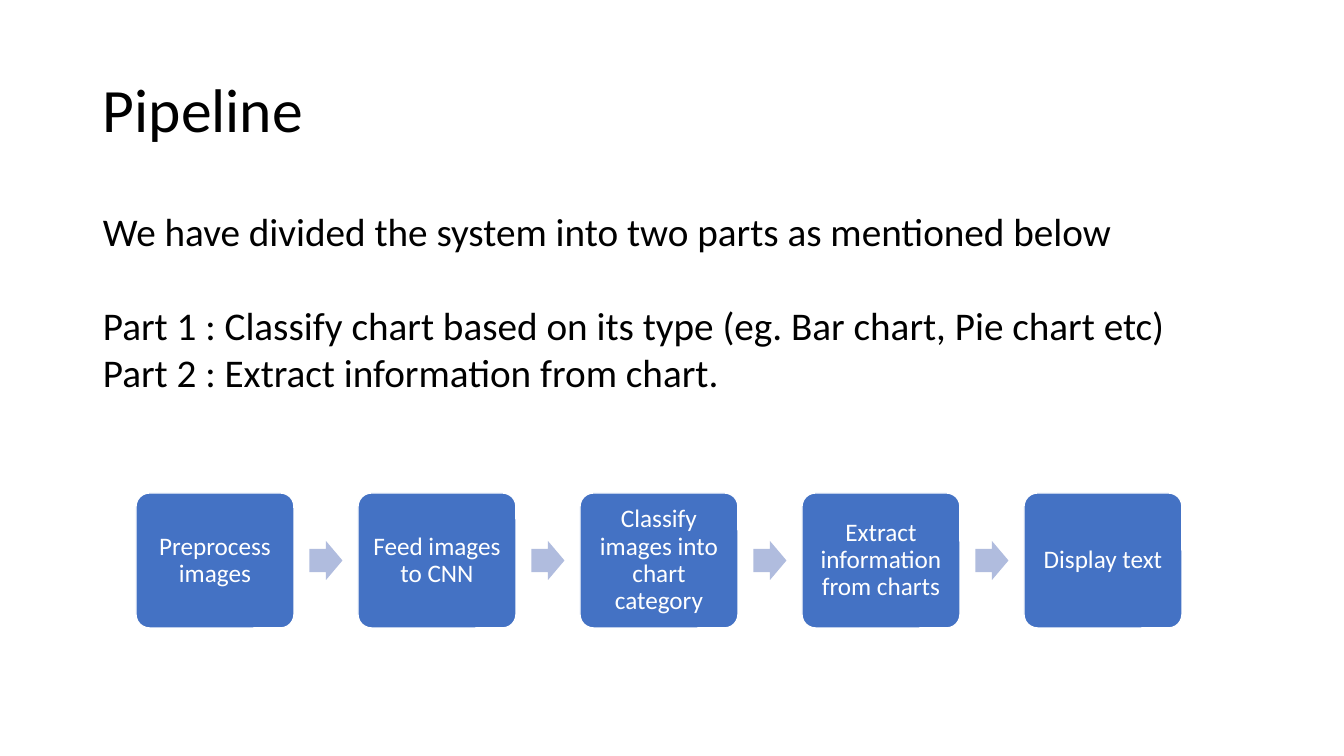
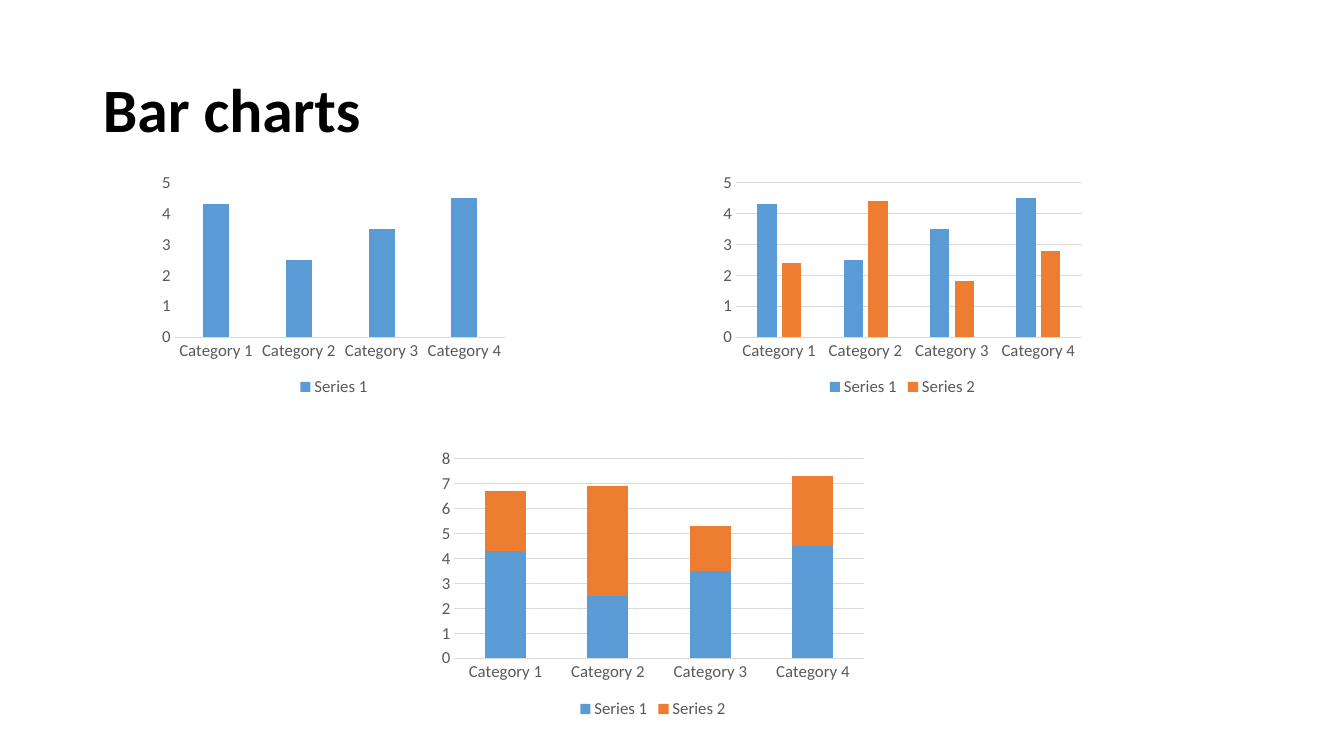
import pptx
import pptx.chart.data
import pptx.dml.color
import pptx.enum.chart
import pptx.enum.shapes
import pptx.enum.text
import pptx.util

SCALE = 914400 / 100.8
FONT = "Calibri"
BLACK, WHITE, GREY, RULE = "000000", "FFFFFF", "595959", "D9D9D9"
STEP_BLUE, ARROW_BLUE = "4472C4", "B0BCDE"
SERIES_COLOURS = ["5B9BD5", "ED7D31"]
TITLE_BOX = (93, 40, 1159, 146)
CATEGORIES = [f"Category {number}" for number in range(1, 5)]
SERIES = [("Series 1", (4.3, 2.5, 3.5, 4.5)), ("Series 2", (2.4, 4.4, 1.8, 2.8))]
CLUSTERED = pptx.enum.chart.XL_CHART_TYPE.COLUMN_CLUSTERED
STACKED = pptx.enum.chart.XL_CHART_TYPE.COLUMN_STACKED
SHAPES = pptx.enum.shapes.MSO_SHAPE
MIDDLE = pptx.enum.text.MSO_ANCHOR.MIDDLE


def px(length):
    """Turn pixels into EMU."""
    return pptx.util.Emu(round(length * SCALE))


def rgb(colour):
    """Turn a hex string into a colour."""
    return pptx.dml.color.RGBColor.from_string(colour)


def style_font(font, size, colour, bold=False):
    """Set the typeface, size, colour and weight of a font."""
    font.name = FONT
    font.size = pptx.util.Pt(size)
    font.bold = bold
    font.color.rgb = rgb(colour)


def add_run(paragraph, words, size, colour, bold=False):
    """Append one styled run."""
    run = paragraph.add_run()
    run.text = words
    style_font(run.font, size, colour, bold)


def add_title(slide, words, bold=False):
    """Place the slide title in the shared title box."""
    title = slide.shapes.add_textbox(*map(px, TITLE_BOX)).text_frame
    title.word_wrap = True
    title.vertical_anchor = MIDDLE
    title.paragraphs[0].line_spacing = 0.9
    add_run(title.paragraphs[0], words, 44, BLACK, bold)


def add_body(slide, box, lines):
    """Place body lines, each given with the space before it in points."""
    body = slide.shapes.add_textbox(*map(px, box)).text_frame
    body.word_wrap = True
    for index, (words, space) in enumerate(lines):
        paragraph = body.add_paragraph() if index else body.paragraphs[0]
        paragraph.space_before = pptx.util.Pt(space)
        add_run(paragraph, words, 28, BLACK)


def add_block(slide, kind, box, colour, adjustments):
    """Place one filled shape without outline or shadow."""
    block = slide.shapes.add_shape(kind, *map(px, box))
    block.shadow.inherit = False
    block.fill.solid()
    block.fill.fore_color.rgb = rgb(colour)
    block.line.fill.background()
    for index, value in enumerate(adjustments):
        block.adjustments[index] = value
    return block


def add_step(slide, box, words):
    """Place one rounded step with its centred label."""
    step = add_block(slide, SHAPES.ROUNDED_RECTANGLE, box, STEP_BLUE, [0.1])
    step.line.color.rgb = rgb(WHITE)
    step.line.width = pptx.util.Pt(1)
    label = step.text_frame
    label.word_wrap = True
    label.vertical_anchor = MIDDLE
    label.margin_left = label.margin_right = px(7)
    label.margin_top = label.margin_bottom = px(7)
    paragraph = label.paragraphs[0]
    paragraph.alignment = pptx.enum.text.PP_ALIGN.CENTER
    paragraph.line_spacing = 0.9
    add_run(paragraph, words, 18, WHITE)


def add_process(slide, box, steps):
    """Spread steps evenly over the box with an arrow in every gap."""
    left, top, width, height = box
    step_width, arrow_width, arrow_height = 158, 33, 39
    pitch = (width - step_width) / (len(steps) - 1)
    arrow_offset = (pitch + step_width - arrow_width) / 2
    for index, words in enumerate(steps):
        x = left + index * pitch
        add_step(slide, (x, top, step_width, height), words)
        if index < len(steps) - 1:
            arrow_box = (x + arrow_offset, top + (height - arrow_height) / 2,
                         arrow_width, arrow_height)
            add_block(slide, SHAPES.RIGHT_ARROW, arrow_box, ARROW_BLUE, [0.6, 0.5])


def style_axes(chart, top_value, grid_colour):
    """Style both axes and the horizontal grid."""
    for axis in (chart.category_axis, chart.value_axis):
        axis.major_tick_mark = pptx.enum.chart.XL_TICK_MARK.NONE
        axis.minor_tick_mark = pptx.enum.chart.XL_TICK_MARK.NONE
        style_font(axis.tick_labels.font, 12, GREY)
    values = chart.value_axis
    values.minimum_scale, values.maximum_scale, values.major_unit = 0, top_value, 1
    values.format.line.fill.background()
    values.has_major_gridlines = True
    for line, colour in ((chart.category_axis.format.line, RULE),
                         (values.major_gridlines.format.line, grid_colour)):
        line.color.rgb = rgb(colour)
        line.width = pptx.util.Pt(0.75)


def add_columns(slide, box, kind, series, top_value, gap, overlap, grid_colour=RULE):
    """Place one column chart with its legend below."""
    data = pptx.chart.data.CategoryChartData()
    data.categories = CATEGORIES
    for name, values in series:
        data.add_series(name, values)
    chart = slide.shapes.add_chart(kind, *map(px, box), data).chart
    style_font(chart.font, 10, BLACK)
    chart.has_title = False
    chart.has_legend = True
    chart.legend.position = pptx.enum.chart.XL_LEGEND_POSITION.BOTTOM
    chart.legend.include_in_layout = False
    style_font(chart.legend.font, 12, GREY)
    style_axes(chart, top_value, grid_colour)
    plot = chart.plots[0]
    plot.vary_by_categories = False
    plot.gap_width, plot.overlap = gap, overlap
    for columns, colour in zip(plot.series, SERIES_COLOURS):
        columns.format.fill.solid()
        columns.format.fill.fore_color.rgb = rgb(colour)


def build_pipeline(slide):
    """Build the slide on the parts of the system."""
    add_title(slide, "Pipeline")
    add_body(slide, (93, 202, 1159, 480), [
        ("We have divided the system into two parts as mentioned below", 0),
        ("Part 1 : Classify chart based on its type (eg. Bar chart, Pie chart etc)", 34),
        ("Part 2 : Extract information from chart.", 0),
    ])
    add_process(slide, (136, 493, 1046, 135), [
        "Preprocess images",
        "Feed images to CNN",
        "Classify images into chart category",
        "Extract information from charts",
        "Display text",
    ])


def build_bar_charts(slide):
    """Build the slide of sample bar charts."""
    add_title(slide, "Bar charts", bold=True)
    add_columns(slide, (155, 168, 358, 233), CLUSTERED, SERIES[:1], 5, 219, -27, WHITE)
    add_columns(slide, (716, 168, 373, 233), CLUSTERED, SERIES, 5, 219, -27)
    add_columns(slide, (433, 443, 440, 280), STACKED, SERIES, 8, 150, 100)


def main():
    """Build and save the presentation."""
    deck = pptx.Presentation()
    deck.slide_width, deck.slide_height = px(1344), px(756)
    for build in (build_pipeline, build_bar_charts):
        build(deck.slides.add_slide(deck.slide_layouts[6]))
    deck.save("out.pptx")


main()
